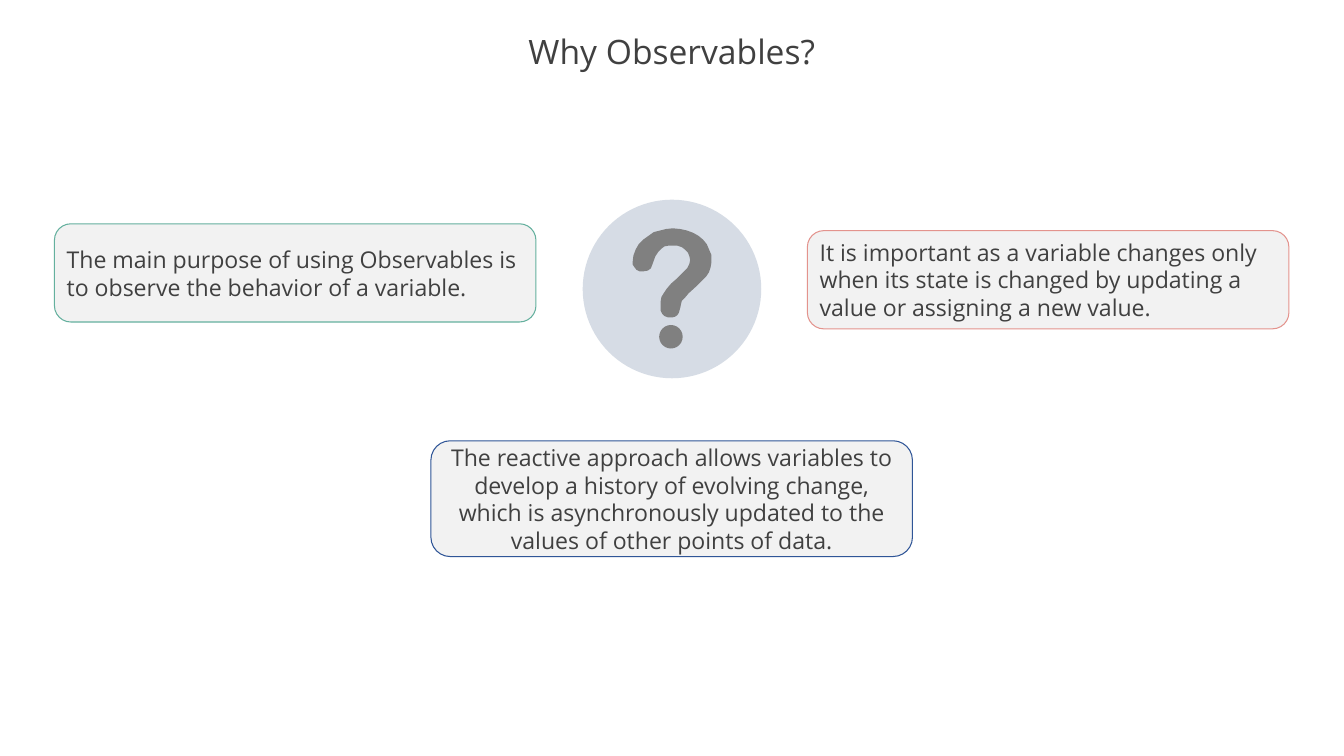
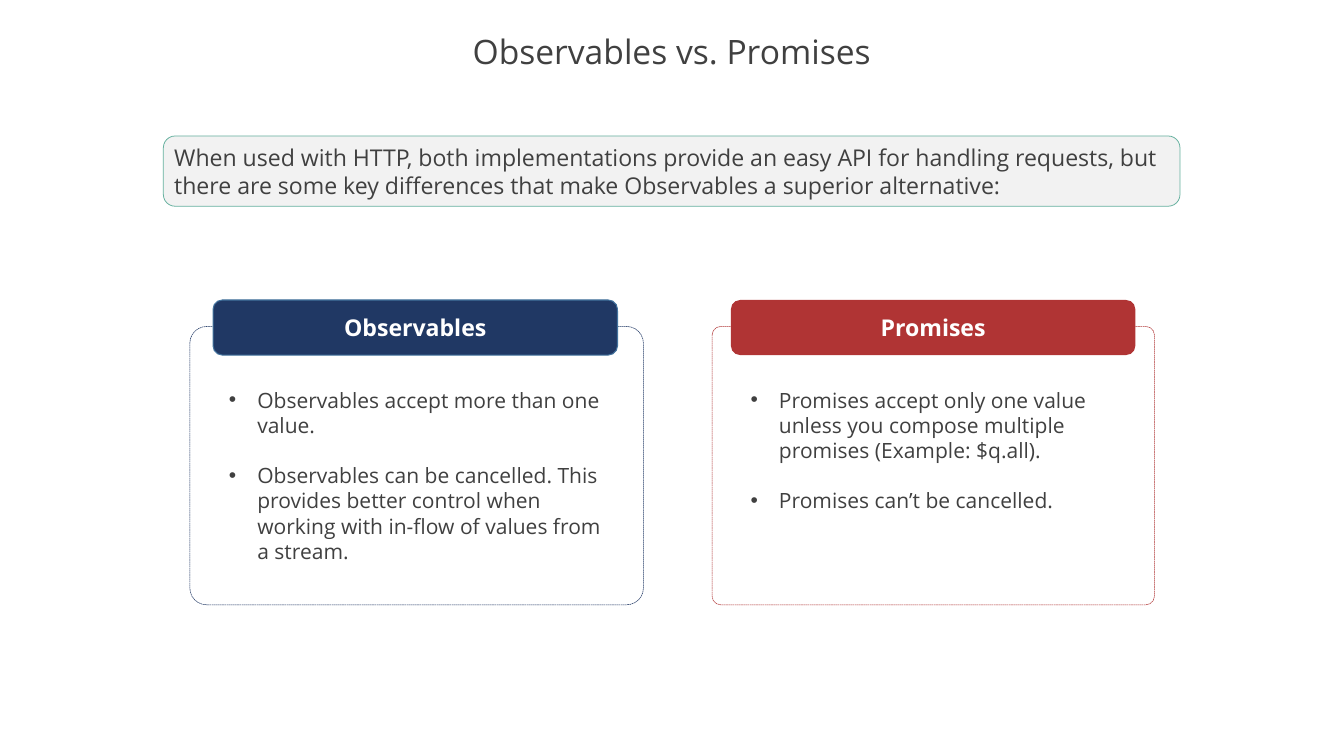
from dataclasses import dataclass

from pptx import Presentation
from pptx.dml.color import RGBColor
from pptx.enum.dml import MSO_LINE
from pptx.enum.shapes import MSO_SHAPE
from pptx.enum.text import MSO_ANCHOR, MSO_AUTO_SIZE, PP_ALIGN
from pptx.util import Cm, Pt

ROUNDED, OVAL = MSO_SHAPE.ROUNDED_RECTANGLE, MSO_SHAPE.OVAL
LEFT, CENTER = PP_ALIGN.LEFT, PP_ALIGN.CENTER
TOP, MIDDLE = MSO_ANCHOR.TOP, MSO_ANCHOR.MIDDLE
NO_AUTOFIT = MSO_AUTO_SIZE.NONE
SHORT_DASH = MSO_LINE.SQUARE_DOT
TITLE_ONLY, TWO_CONTENT = 5, 3  # layouts of the default template


@dataclass(frozen=True)
class Theme:
    font: str = "Open Sans"
    title_size: int = 32
    box_size: int = 22
    list_size: int = 20
    text: str = "404040"
    white: str = "FFFFFF"
    box_fill: str = "F2F2F2"
    green: str = "64B09E"
    pink: str = "E3938D"
    blue: str = "2F5597"
    navy: str = "203864"
    steel: str = "43739E"
    red: str = "B03434"
    disc: str = "D6DCE5"
    mark: str = "808080"


THEME = Theme()
SLIDE_WIDTH, SLIDE_HEIGHT = 45.16, 25.4

# Hook of the question mark, in hundredths of an inch
HOOK_OUTLINE = [
    (53, 0), (63, 1), (72, 3), (80, 6), (87, 10), (93, 15), (98, 21),
    (101, 28), (104, 35), (104, 46), (103, 52), (101, 58), (97, 64),
    (92, 69), (85, 76), (74, 86), (69, 92), (65, 96), (64, 100), (63, 105),
    (61, 112), (59, 115), (56, 117), (52, 118), (47, 118), (42, 116),
    (39, 113), (37, 109), (37, 97), (38, 91), (41, 86), (45, 80), (51, 73),
    (59, 66), (67, 58), (72, 53), (75, 47), (76, 42), (75, 37), (73, 32),
    (69, 28), (65, 25), (59, 23), (47, 23), (42, 24), (38, 27), (34, 31),
    (30, 37), (26, 48), (24, 53), (20, 56), (14, 57), (9, 57), (5, 55),
    (2, 51), (0, 48), (0, 44), (1, 36), (4, 28), (8, 21), (14, 15),
    (21, 10), (28, 5), (36, 3), (44, 1),
]


# --- Formatting helpers ---
def rgb(color):
    return RGBColor.from_string(color)


def place(shape, left, top, width, height):
    shape.left, shape.top = Cm(left), Cm(top)
    shape.width, shape.height = Cm(width), Cm(height)


def paint(shape, fill=None, line=None, line_width=1):
    shape.shadow.inherit = False
    if fill:
        shape.fill.solid()
        shape.fill.fore_color.rgb = rgb(fill)
    else:
        shape.fill.background()
    if line:
        shape.line.color.rgb = rgb(line)
        shape.line.width = Pt(line_width)
    else:
        shape.line.fill.background()


def format_text(frame, size, color=THEME.text, align=LEFT, anchor=MIDDLE,
                bold=False, spacing=1.0):
    frame.word_wrap = True
    frame.auto_size = NO_AUTOFIT
    frame.vertical_anchor = anchor
    for paragraph in frame.paragraphs:
        paragraph.alignment = align
        paragraph.line_spacing = spacing
        paragraph.space_before = Pt(0)
        for run in paragraph.runs:
            run.font.name = THEME.font
            run.font.size = Pt(size)
            run.font.bold = bold
            run.font.color.rgb = rgb(color)


# --- Elements ---
def add_titled_slide(prs, layout, title):
    slide = prs.slides.add_slide(prs.slide_layouts[layout])
    heading = slide.shapes.title
    place(heading, 0, 0.89, SLIDE_WIDTH, 1.85)
    heading.text_frame.text = title
    format_text(heading.text_frame, THEME.title_size, align=CENTER, spacing=0.9)
    return slide


def add_preset(slide, kind, box, **style):
    shape = slide.shapes.add_shape(kind, *(Cm(length) for length in box))
    paint(shape, **style)
    return shape


def add_text_box(slide, box, text, line, line_width=1, fill=THEME.box_fill,
                 **text_style):
    panel = add_preset(slide, ROUNDED, box, fill=fill, line=line,
                       line_width=line_width)
    panel.text_frame.text = text
    format_text(panel.text_frame, THEME.box_size, **text_style)


def add_question_mark(slide):
    add_preset(slide, OVAL, (19.58, 6.71, 6, 6), fill=THEME.disc)
    add_preset(slide, OVAL, (22.15, 10.92, 0.79, 0.79), fill=THEME.mark)
    builder = slide.shapes.build_freeform(*HOOK_OUTLINE[0], scale=Cm(2.54) / 100)
    builder.add_line_segments(HOOK_OUTLINE[1:], close=True)
    paint(builder.convert_to_shape(Cm(21.26), Cm(7.67)), fill=THEME.mark)


def fill_list(placeholder, box, items):
    place(placeholder, *box)
    frame = placeholder.text_frame
    frame.text = "\n".join(items)
    format_text(frame, THEME.list_size, anchor=TOP)
    for paragraph in frame.paragraphs:
        properties = paragraph._p.get_or_add_pPr()
        properties.set("marL", str(Cm(0.95)))
        properties.set("indent", str(-Cm(0.95)))
    for paragraph in frame.paragraphs[1:]:
        paragraph.space_before = Pt(24)


def add_card(slide, heading, color, frame_left, frame_width, corner,
             heading_left, heading_line=None):
    frame = add_preset(slide, ROUNDED, (frame_left, 10.97, frame_width, 9.35),
                       line=color, line_width=0.5)
    frame.adjustments[0] = corner
    frame.line.dash_style = SHORT_DASH
    add_text_box(slide, (heading_left, 10.08, 13.59, 1.85), heading,
                 heading_line, fill=color, color=THEME.white, align=CENTER,
                 bold=True)


# --- Slides ---
def build_why_observables(prs):
    slide = add_titled_slide(prs, TITLE_ONLY, "Why Observables?")
    add_text_box(slide, (1.83, 7.52, 16.18, 3.3),
                 "The main purpose of using Observables is to observe the "
                 "behavior of a variable.", THEME.green)
    add_question_mark(slide)
    add_text_box(slide, (27.13, 7.75, 16.18, 3.3),
                 "It is important as a variable changes only when its state is "
                 "changed by updating a value or assigning a new value.",
                 THEME.pink)
    add_text_box(slide, (14.48, 14.81, 16.18, 3.89),
                 "The reactive approach allows variables to develop a history "
                 "of evolving change, which is asynchronously updated to the "
                 "values of other points of data.", THEME.blue, align=CENTER)


def build_comparison(prs):
    slide = add_titled_slide(prs, TWO_CONTENT, "Observables vs. Promises")
    add_text_box(slide, (5.49, 4.57, 34.16, 2.36),
                 "When used with HTTP, both implementations provide an easy API "
                 "for handling requests, but there are some key differences "
                 "that make Observables a superior alternative:",
                 THEME.green, line_width=0.75)

    # Cards
    add_card(slide, "Observables", THEME.navy, 6.38, 15.24, 0.06, 7.16,
             heading_line=THEME.steel)
    add_card(slide, "Promises", THEME.red, 23.93, 14.86, 0.03, 24.56)

    # Lists inside the cards
    fill_list(slide.placeholders[1], (7.44, 12.88, 13.03, 6.25), [
        "Observables accept more than one value.",
        "Observables can be cancelled. This provides better control when "
        "working with in-flow of values from a stream.",
    ])
    fill_list(slide.placeholders[2], (24.97, 12.88, 13.18, 4.52), [
        "Promises accept only one value unless you compose multiple promises "
        "(Example: $q.all).",
        "Promises can’t be cancelled.",
    ])


def main():
    prs = Presentation()
    prs.slide_width, prs.slide_height = Cm(SLIDE_WIDTH), Cm(SLIDE_HEIGHT)
    build_why_observables(prs)
    build_comparison(prs)
    prs.save("out.pptx")


if __name__ == "__main__":
    main()
